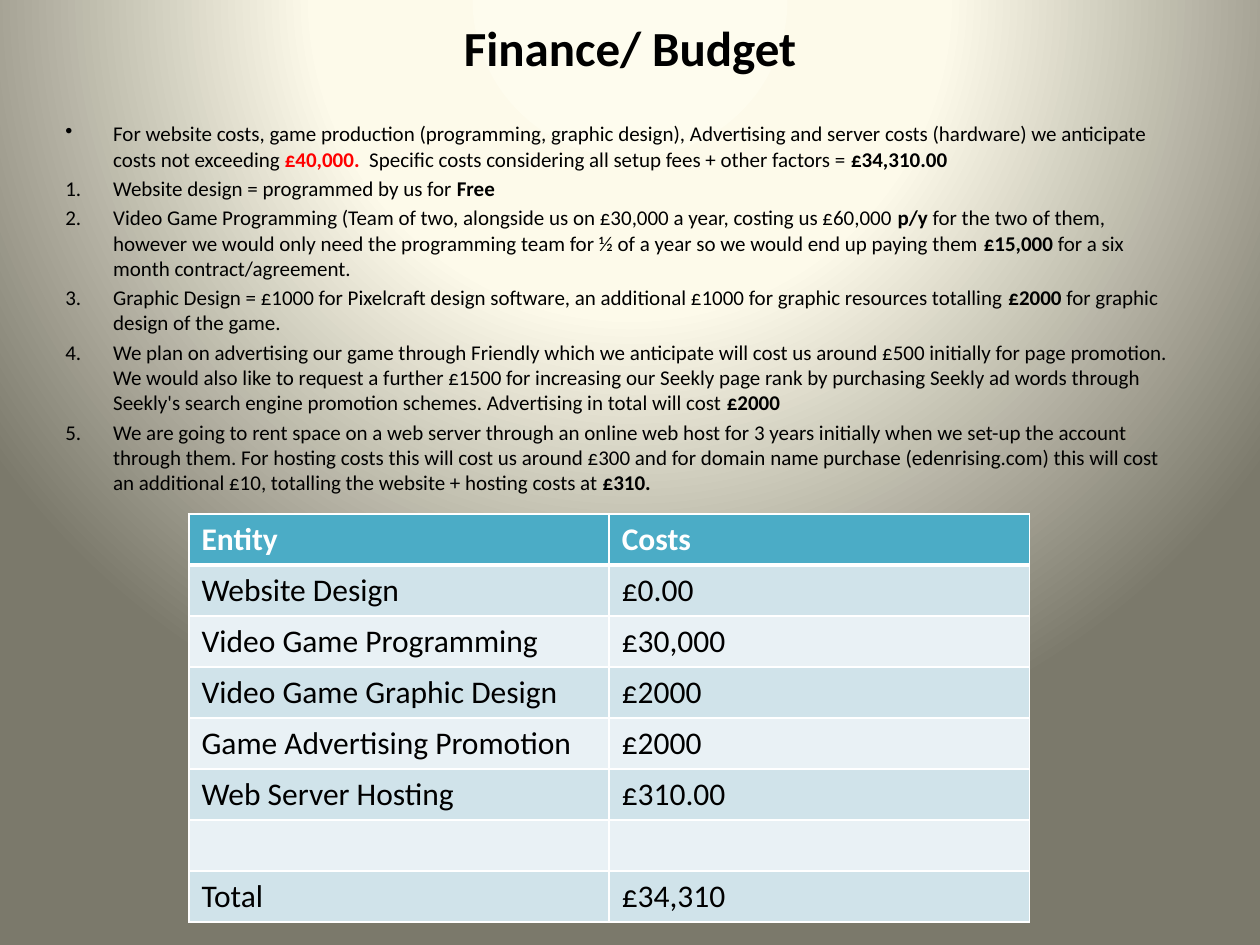
from dataclasses import dataclass

import pptx
import pptx.dml.color
import pptx.enum.text
import pptx.oxml
import pptx.oxml.ns
import pptx.slide
import pptx.table
import pptx.text.text
import pptx.util
from pptx.util import Inches, Pt

RGBColor = pptx.dml.color.RGBColor
qn = pptx.oxml.ns.qn

BLACK = RGBColor(0x00, 0x00, 0x00)
WHITE = RGBColor(0xFF, 0xFF, 0xFF)
RED = RGBColor(0xFF, 0x00, 0x00)
TEAL = RGBColor(0x4B, 0xAC, 0xC6)
BAND_DARK = RGBColor(0xD0, 0xE3, 0xEA)
BAND_LIGHT = RGBColor(0xE9, 0xF1, 0xF5)
BACKGROUND_STOPS = (
    (0, RGBColor(0xFE, 0xFC, 0xEE)),
    (40, RGBColor(0xFD, 0xFA, 0xEA)),
    (100, RGBColor(0x7B, 0x79, 0x6B)),
)
FONT = "Calibri"
DRAWING_NS = pptx.oxml.ns.nsdecls("a")


@dataclass(frozen=True)
class Piece:
    text: str
    bold: bool = False
    color: RGBColor = BLACK


@dataclass(frozen=True)
class Item:
    pieces: tuple[Piece, ...]
    numbered: bool = True


ITEMS = (
    Item((
        Piece("For website costs, game production (programming, graphic design), Advertising "
              "and server costs (hardware) we anticipate costs not exceeding "),
        Piece("£40,000.  ", True, RED),
        Piece("Specific costs considering all setup fees + other factors = "),
        Piece("£34,310.00", True),
    ), numbered=False),
    Item((Piece("Website design = programmed by us for "), Piece("Free", True))),
    Item((
        Piece("Video Game Programming (Team of two, alongside us on £30,000 a year, "
              "costing us £60,000 "),
        Piece("p/y", True),
        Piece(" for the two of them, however we would only need the programming team "
              "for ½ of a year so we would end up paying them "),
        Piece("£15,000 ", True),
        Piece("for a six month contract/agreement."),
    )),
    Item((
        Piece("Graphic Design = £1000 for Pixelcraft design software, an additional £1000 "
              "for graphic resources totalling "),
        Piece("£2000 ", True),
        Piece("for graphic design of the game."),
    )),
    Item((
        Piece("We plan on advertising our game through Friendly which we anticipate will cost "
              "us around £500 initially for page promotion. We would also like to request a "
              "further £1500 for increasing our Seekly page rank by purchasing Seekly ad words "
              "through Seekly's search engine promotion schemes. Advertising in total will cost "),
        Piece("£2000", True),
    )),
    Item((
        Piece("We are going to rent space on a web server through an online web host for 3 years "
              "initially when we set-up the account through them. For hosting costs this will "
              "cost us around £300 and for domain name purchase (edenrising.com) this will cost "
              "an additional £10, totalling the website + hosting costs at "),
        Piece("£310.", True),
    )),
)

COSTS = (
    ("Entity", "Costs"),
    ("Website Design", "£0.00"),
    ("Video Game Programming", "£30,000"),
    ("Video Game Graphic Design", "£2000"),
    ("Game Advertising Promotion", "£2000"),
    ("Web Server Hosting", "£310.00"),
    ("", ""),
    ("Total", "£34,310"),
)


def style_font(font: pptx.text.text.Font, size: float, color: RGBColor, bold: bool) -> None:
    font.name = FONT
    font.size = Pt(size)
    font.color.rgb = color
    font.bold = bold


def set_background(slide: pptx.slide.Slide) -> None:
    """Fill the slide with a circular gradient, which needs XML."""
    slide.background.fill.solid()
    stops = "".join(
        f'<a:gs pos="{position * 1000}"><a:srgbClr val="{color}"/></a:gs>'
        for position, color in BACKGROUND_STOPS
    )
    gradient = pptx.oxml.parse_xml(
        f'<a:gradFill {DRAWING_NS} rotWithShape="1"><a:gsLst>{stops}</a:gsLst>'
        '<a:path path="circle">'
        '<a:fillToRect l="50000" t="-80000" r="50000" b="180000"/></a:path></a:gradFill>'
    )
    solid = slide.element.xpath("./p:cSld/p:bg/p:bgPr/a:solidFill")[0]
    solid.getparent().replace(solid, gradient)


def add_title(slide: pptx.slide.Slide) -> None:
    title = slide.shapes.title
    title.left, title.top = Inches(0.5), Inches(-0.25)
    title.width, title.height = Inches(9), Inches(1.25)
    title.text_frame.text = "Finance/ Budget"
    title.text_frame.vertical_anchor = pptx.enum.text.MSO_ANCHOR.MIDDLE
    paragraph = title.text_frame.paragraphs[0]
    paragraph.alignment = pptx.enum.text.PP_ALIGN.CENTER
    style_font(paragraph.runs[0].font, 28, BLACK, True)


def set_marker(paragraph: pptx.text.text._Paragraph, numbered: bool) -> None:
    properties = paragraph._p.get_or_add_pPr()
    indent = Inches(0.38)
    properties.set("marL", str(indent))
    properties.set("indent", str(-indent))
    marker = 'buAutoNum type="arabicPeriod"' if numbered else 'buChar char="•"'
    properties.append(pptx.oxml.parse_xml(f"<a:{marker} {DRAWING_NS}/>"))


def add_items(slide: pptx.slide.Slide) -> None:
    box = slide.shapes.add_textbox(Inches(0.42), Inches(0.91), Inches(9), Inches(3.21))
    frame = box.text_frame
    frame.word_wrap = True
    for index, item in enumerate(ITEMS):
        paragraph = frame.add_paragraph() if index else frame.paragraphs[0]
        set_marker(paragraph, item.numbered)
        if index:
            paragraph.space_before = Pt(2.4)
        for piece in item.pieces:
            run = paragraph.add_run()
            run.text = piece.text
            style_font(run.font, 12, piece.color, piece.bold)


def set_borders(cell: pptx.table._Cell, top: float, bottom: float) -> None:
    properties = cell._tc.get_or_add_tcPr()
    widths = {"lnL": 1, "lnR": 1, "lnT": top, "lnB": bottom}
    for index, (side, width) in enumerate(widths.items()):
        properties.insert(index, pptx.oxml.parse_xml(
            f'<a:{side} {DRAWING_NS} w="{Pt(width)}"><a:solidFill>'
            f'<a:srgbClr val="{WHITE}"/></a:solidFill></a:{side}>'
        ))


def add_cost_table(slide: pptx.slide.Slide) -> None:
    frame = slide.shapes.add_table(
        len(COSTS), 2, Inches(1.5), Inches(4.08), Inches(6.67), Inches(3.24)
    )
    for row, values in enumerate(COSTS):
        header = row == 0
        fill = TEAL if header else BAND_DARK if row % 2 else BAND_LIGHT
        for column, value in enumerate(values):
            cell = frame.table.cell(row, column)
            cell.text = value
            style_font(cell.text_frame.paragraphs[0].font, 18, WHITE if header else BLACK, header)
            for run in cell.text_frame.paragraphs[0].runs:
                style_font(run.font, 18, WHITE if header else BLACK, header)
            cell.fill.solid()
            cell.fill.fore_color.rgb = fill
            set_borders(cell, top=3 if row == 1 else 1, bottom=3 if header else 1)


def main() -> None:
    presentation = pptx.Presentation()
    presentation.slide_width, presentation.slide_height = Inches(10), Inches(7.5)
    slide = presentation.slides.add_slide(presentation.slide_layouts.get_by_name("Title Only"))
    set_background(slide)
    add_title(slide)
    add_items(slide)
    add_cost_table(slide)
    presentation.save("out.pptx")


if __name__ == "__main__":
    main()
